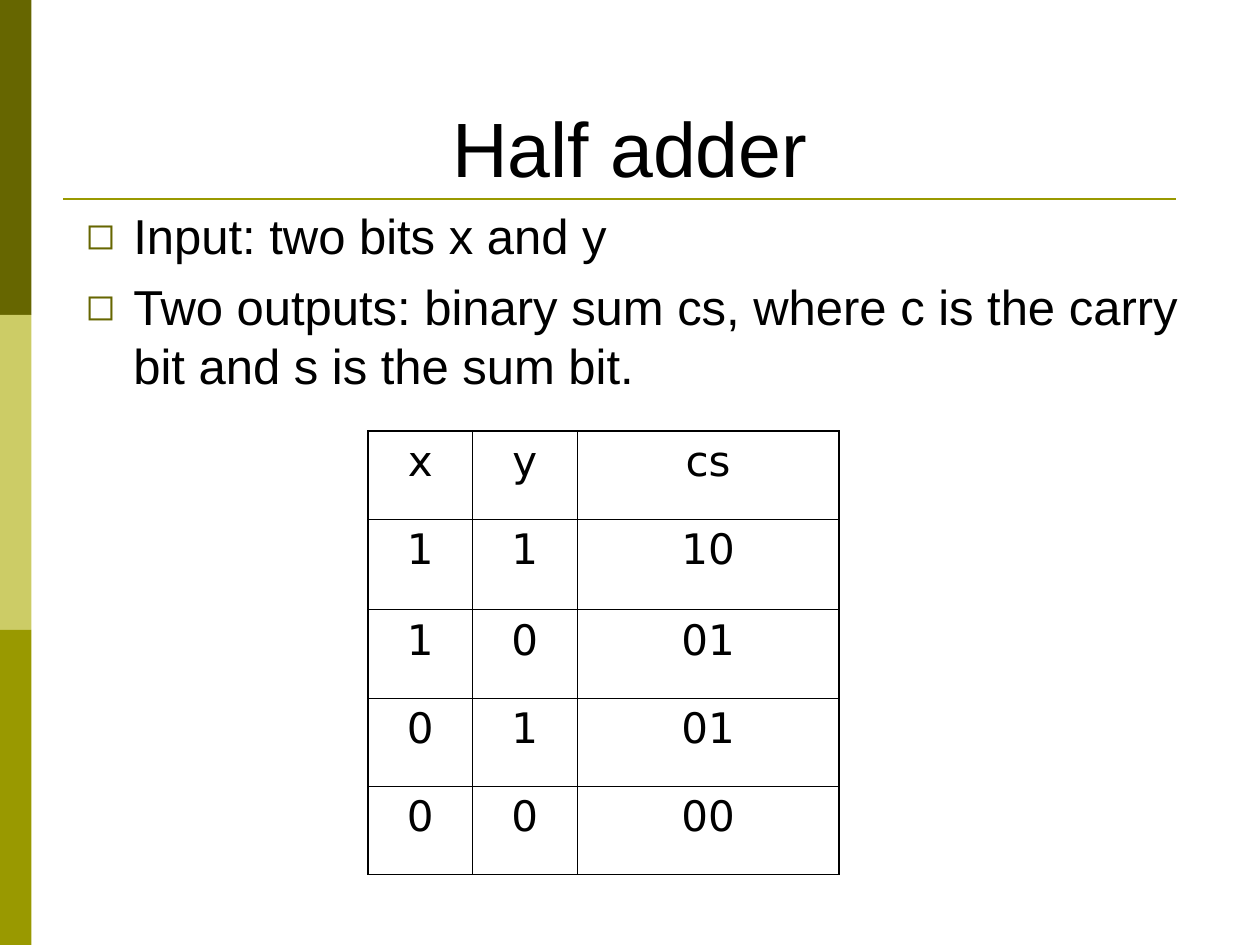
from dataclasses import dataclass

from lxml import etree
from pptx import Presentation
from pptx.dml.color import RGBColor
from pptx.enum import shapes, text
from pptx.oxml import ns
from pptx.util import Emu, Inches, Pt


@dataclass(frozen=True)
class Theme:
    ink: str = "000000"
    olive_dark: str = "666600"
    olive_light: str = "CCCC66"
    olive: str = "999900"
    font: str = "Arial"
    table_font: str = "DejaVu Sans"
    title_size: int = 44
    body_size: int = 28
    table_size: int = 24
    rule_width: float = 1.5
    outer_border: float = 1.08
    inner_border: float = 0.45


@dataclass(frozen=True)
class Band:
    top: float
    color: str


THEME = Theme()
BAND_HEIGHT = 2.5
BANDS = [
    Band(index * BAND_HEIGHT, color)
    for index, color in enumerate((THEME.olive_dark, THEME.olive_light, THEME.olive))
]
BULLETS = [
    "Input: two bits x and y",
    "Two outputs: binary sum cs, where c is the carry bit and s is the sum bit.",
]
TRUTH_TABLE = [
    ("x", "y", "cs"),
    ("1", "1", "10"),
    ("1", "0", "01"),
    ("0", "1", "01"),
    ("0", "0", "00"),
]
COLUMN_WIDTHS = (0.83, 0.83, 2.08)
ROW_HEIGHTS = (0.7, 0.72, 0.7, 0.7, 0.7)


def add_xml(parent, tag: str, **attributes: str):
    return etree.SubElement(parent, ns.qn(tag), attributes)


def write(paragraph, words: str, *, size: float, font: str = THEME.font,
          color: str = THEME.ink, align=text.PP_ALIGN.LEFT, before: float = 0) -> None:
    paragraph.alignment = align
    paragraph.space_before = Pt(before)
    run = paragraph.add_run()
    run.text = words
    run.font.size = Pt(size)
    run.font.name = font
    run.font.color.rgb = RGBColor.from_string(color)


def add_bullet(paragraph) -> None:
    """Give the paragraph a hanging olive square."""
    properties = paragraph._p.get_or_add_pPr()
    properties.set("marL", str(Inches(0.38)))
    properties.set("indent", str(-Inches(0.38)))
    add_xml(add_xml(properties, "a:buClr"), "a:srgbClr", val=THEME.olive_dark)
    add_xml(properties, "a:buSzPct", val="75000")
    add_xml(properties, "a:buFont", typeface=THEME.table_font)
    add_xml(properties, "a:buChar", char="◻")


def draw_band(slide, band: Band) -> None:
    bar = slide.shapes.add_shape(shapes.MSO_SHAPE.RECTANGLE, 0, Inches(band.top),
                                 Inches(0.25), Inches(BAND_HEIGHT))
    bar.shadow.inherit = False
    bar.fill.solid()
    bar.fill.fore_color.rgb = RGBColor.from_string(band.color)
    bar.line.fill.background()


def draw_title_rule(slide) -> None:
    rule = slide.shapes.add_connector(shapes.MSO_CONNECTOR.STRAIGHT, Inches(0.5),
                                      Inches(1.58), Inches(9.33), Inches(1.58))
    rule.line.color.rgb = RGBColor.from_string(THEME.olive)
    rule.line.width = Pt(THEME.rule_width)
    add_xml(rule._element.spPr, "a:effectLst")


def draw_title(slide, words: str) -> None:
    title = slide.shapes.title
    title.left, title.top = Inches(0.5), Inches(0.3)
    title.width, title.height = Inches(9), Inches(1.28)
    frame = title.text_frame
    frame.auto_size = text.MSO_AUTO_SIZE.NONE
    frame.vertical_anchor = text.MSO_ANCHOR.BOTTOM
    write(frame.paragraphs[0], words, size=THEME.title_size, align=text.PP_ALIGN.CENTER)


def draw_bullets(slide, points: list[str]) -> None:
    body = slide.shapes.add_textbox(Inches(0.58), Inches(1.58), Inches(8.92), Inches(5.08))
    frame = body.text_frame
    frame.word_wrap = True
    for index, point in enumerate(points):
        paragraph = frame.add_paragraph() if index else frame.paragraphs[0]
        add_bullet(paragraph)
        write(paragraph, point, size=THEME.body_size, before=7 if index else 0)


def set_borders(cell, outer_sides: dict[str, bool]) -> None:
    """Draw each side, heavier where it lies on the edge of the table."""
    properties = cell._tc.get_or_add_tcPr()
    for side, is_outer in outer_sides.items():
        width = THEME.outer_border if is_outer else THEME.inner_border
        border = add_xml(properties, f"a:ln{side}", w=str(Pt(width)))
        add_xml(add_xml(border, "a:solidFill"), "a:srgbClr", val=THEME.ink)


def draw_truth_table(slide, rows: list[tuple[str, ...]]) -> None:
    last_row, last_column = len(rows) - 1, len(COLUMN_WIDTHS) - 1
    table = slide.shapes.add_table(
        len(rows), len(COLUMN_WIDTHS), Inches(2.92), Inches(3.42),
        Emu(sum(map(Inches, COLUMN_WIDTHS))), Emu(sum(map(Inches, ROW_HEIGHTS))),
    ).table
    table.first_row = table.horz_banding = False
    for column, width in zip(table.columns, COLUMN_WIDTHS):
        column.width = Inches(width)
    for row, height in zip(table.rows, ROW_HEIGHTS):
        row.height = Inches(height)
    for r, values in enumerate(rows):
        for c, value in enumerate(values):
            cell = table.cell(r, c)
            set_borders(cell, {"L": c == 0, "R": c == last_column,
                               "T": r == 0, "B": r == last_row})
            cell.fill.background()
            write(cell.text_frame.paragraphs[0], value, size=THEME.table_size,
                  font=THEME.table_font, align=text.PP_ALIGN.CENTER)


def main() -> None:
    deck = Presentation()
    deck.slide_width, deck.slide_height = Inches(10), Inches(7.5)
    title_only = deck.slide_layouts[5]
    slide = deck.slides.add_slide(title_only)
    for band in BANDS:
        draw_band(slide, band)
    draw_title_rule(slide)
    draw_title(slide, "Half adder")
    draw_bullets(slide, BULLETS)
    draw_truth_table(slide, TRUTH_TABLE)
    deck.save("out.pptx")


if __name__ == "__main__":
    main()
